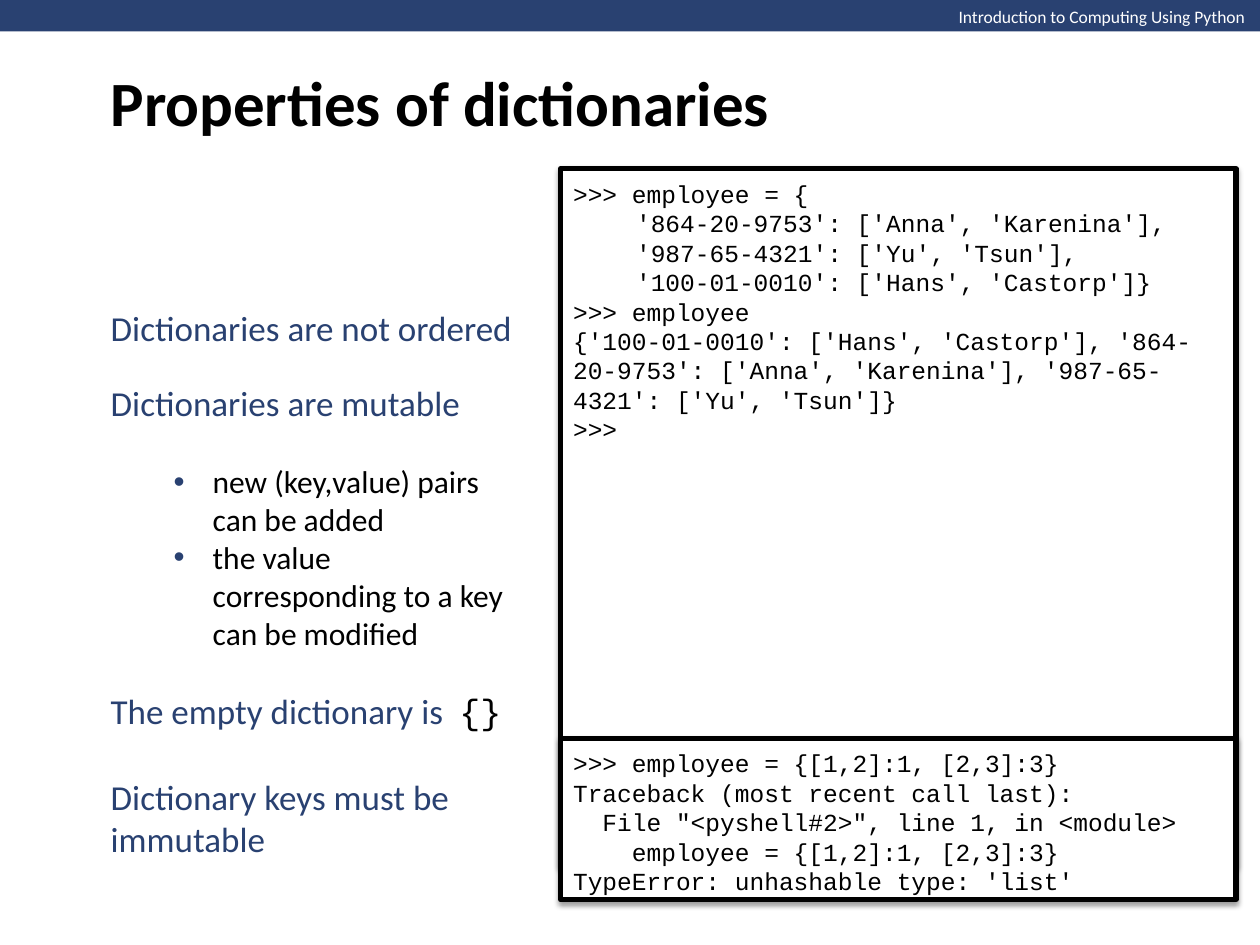
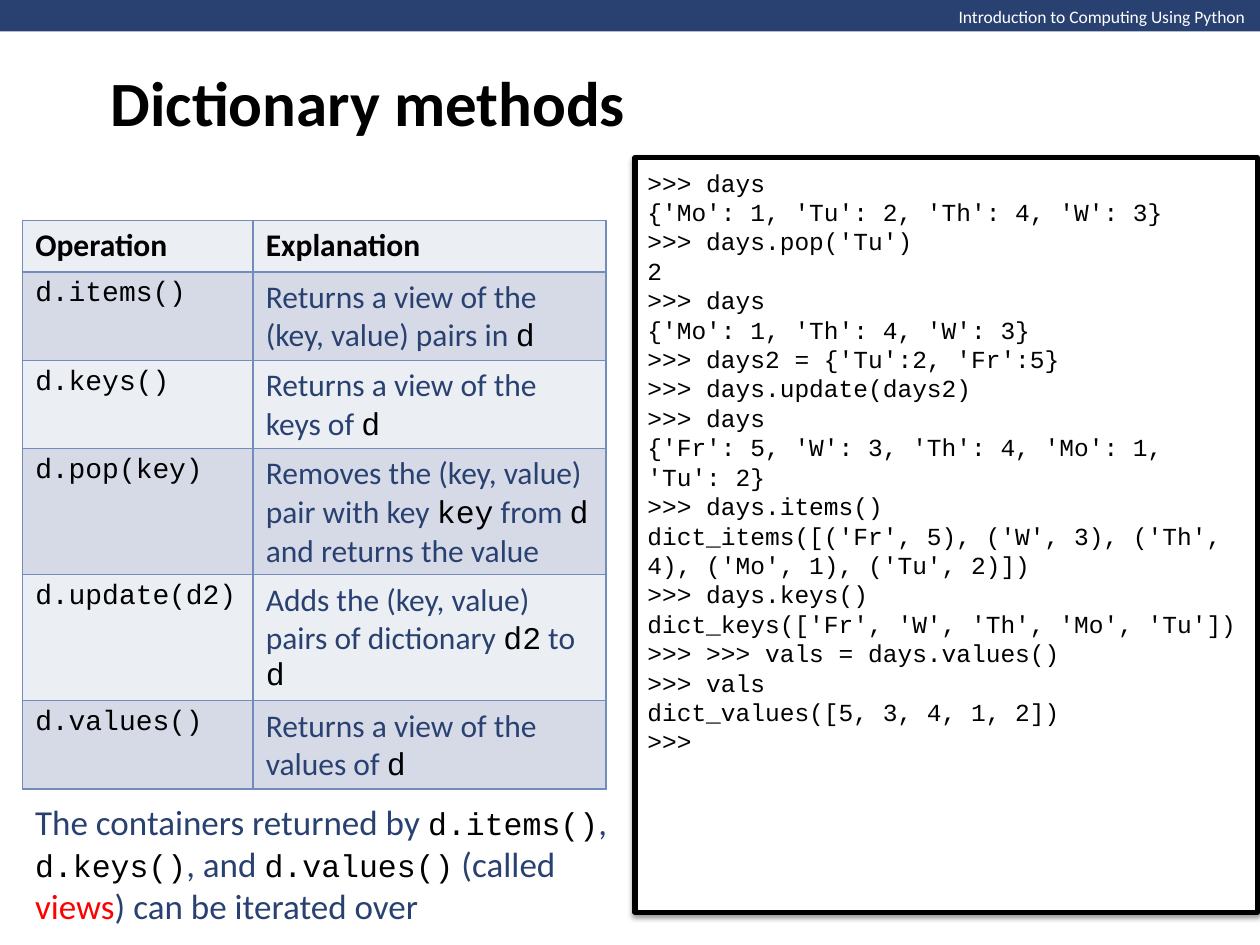
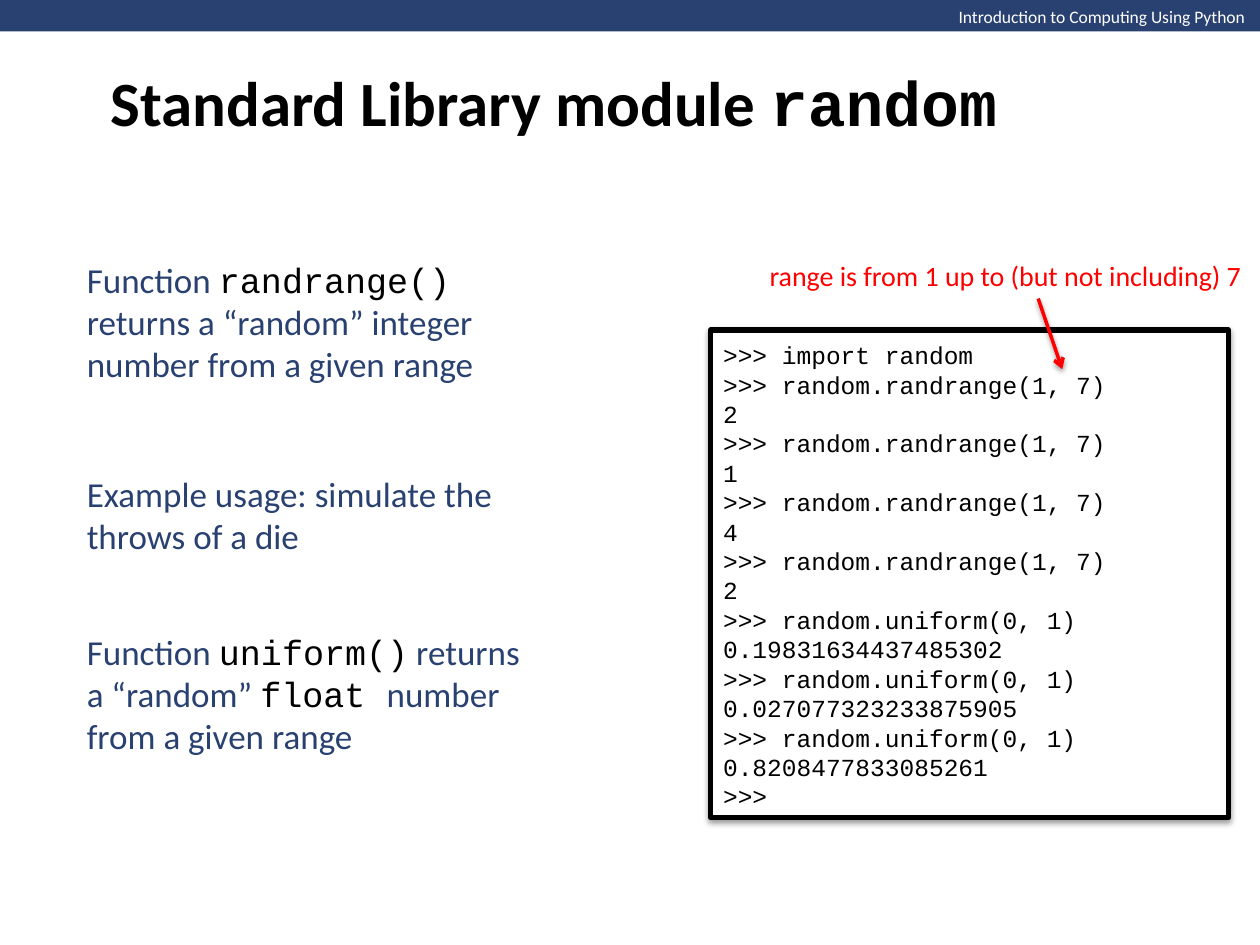
from dataclasses import dataclass

from lxml import etree
from pptx import Presentation
from pptx.dml.color import RGBColor
from pptx.enum.shapes import MSO_CONNECTOR, MSO_SHAPE
from pptx.enum.text import MSO_ANCHOR
from pptx.oxml.ns import qn
from pptx.util import Inches, Pt

RECTANGLE = MSO_SHAPE.RECTANGLE
STRAIGHT = MSO_CONNECTOR.STRAIGHT
TOP, MIDDLE = MSO_ANCHOR.TOP, MSO_ANCHOR.MIDDLE


@dataclass(frozen=True)
class Theme:
    """Colours, fonts and type sizes shared by every slide."""

    navy: str = "294171"
    black: str = "000000"
    white: str = "FFFFFF"
    red: str = "FF0000"
    border: str = "748CBC"
    light_row: str = "EBEEF3"
    dark_row: str = "D6DAE7"
    prose: str = "Calibri"
    mono: str = "Courier New"
    title: int = 36
    body: int = 20
    detail: int = 18
    note: int = 16
    code: int = 14
    header: int = 10


THEME = Theme()
COURSE = "Introduction to Computing Using Python"
TITLE_BOX = (0.78, 0, 8.5, 1.61)

EMPLOYEE_SESSION = """>>> employee = {
\t'864-20-9753': ['Anna', 'Karenina'],
\t'987-65-4321': ['Yu', 'Tsun'],
\t'100-01-0010': ['Hans', 'Castorp']}
>>> employee
{'100-01-0010': ['Hans', 'Castorp'], '864-20-9753': ['Anna', 'Karenina'], '987-65-4321': ['Yu', 'Tsun']}
>>>"""

ERROR_SESSION = """>>> employee = {[1,2]:1, [2,3]:3}
Traceback (most recent call last):
  File "<pyshell#2>", line 1, in <module>
    employee = {[1,2]:1, [2,3]:3}
TypeError: unhashable type: 'list'"""

DAYS_SESSION = """>>> days
{'Mo': 1, 'Tu': 2, 'Th': 4, 'W': 3}
>>> days.pop('Tu')
2
>>> days
{'Mo': 1, 'Th': 4, 'W': 3}
>>> days2 = {'Tu':2, 'Fr':5}
>>> days.update(days2)
>>> days
{'Fr': 5, 'W': 3, 'Th': 4, 'Mo': 1, 'Tu': 2}
>>> days.items()
dict_items([('Fr', 5), ('W', 3), ('Th', 4), ('Mo', 1), ('Tu', 2)])
>>> days.keys()
dict_keys(['Fr', 'W', 'Th', 'Mo', 'Tu'])
>>> >>> vals = days.values()
>>> vals
dict_values([5, 3, 4, 1, 2])
>>>"""

RANDOM_SESSION = """>>> import random
>>> random.randrange(1, 7)
2
>>> random.randrange(1, 7)
1
>>> random.randrange(1, 7)
4
>>> random.randrange(1, 7)
2
>>> random.uniform(0, 1)
0.19831634437485302
>>> random.uniform(0, 1)
0.027077323233875905
>>> random.uniform(0, 1)
0.8208477833085261
>>>"""

METHODS = [
    ("d.items()", "Returns a view of the (key, value) pairs in `d`"),
    ("d.keys()", "Returns a view of the keys of `d`"),
    ("d.pop(key)", "Removes the (key, value) pair with key `key` from `d` and returns the value"),
    ("d.update(d2)", "Adds the (key, value) pairs of dictionary `d2` to `d`"),
    ("d.values()", "Returns a view of the values of `d`"),
]
COLUMN_WIDTHS = (1.83, 2.8)
ROW_HEIGHTS = (0.41, 0.7, 0.7, 1, 1, 0.7)


def rgb(color):
    """Turn a hex string into a colour."""
    return RGBColor.from_string(color)


def inches(box):
    """Turn a tuple of numbers into lengths."""
    return [Inches(value) for value in box]


def add_span(para, text, size=THEME.body, font=THEME.prose, color=THEME.navy, bold=False):
    """Append one formatted run to a paragraph."""
    span = para.add_run()
    span.text = text
    span.font.size = Pt(size)
    span.font.name = font
    span.font.bold = bold
    span.font.color.rgb = rgb(color)


def add_marked(para, text, size=THEME.body, mono_size=None, **style):
    """Append prose in which backticks enclose code."""
    for index, part in enumerate(text.split("`")):
        if index % 2:
            code_style = {**style, "font": THEME.mono, "color": THEME.black}
            add_span(para, part, size=mono_size or size, **code_style)
        elif part:
            add_span(para, part, size=size, **style)


def add_box(page, box, anchor=MIDDLE, wrap=True):
    """Add an empty text box and return its text frame."""
    frame = page.shapes.add_textbox(*inches(box)).text_frame
    frame.word_wrap = wrap
    frame.vertical_anchor = anchor
    return frame


def add_label(page, box, text, anchor=MIDDLE, wrap=True, **style):
    """Add a text box holding one paragraph and return its text frame."""
    frame = add_box(page, box, anchor, wrap)
    add_marked(frame.paragraphs[0], text, **style)
    return frame


def add_panel(page, box, color):
    """Add a plain filled rectangle."""
    panel = page.shapes.add_shape(RECTANGLE, *inches(box))
    panel.shadow.inherit = False
    panel.fill.solid()
    panel.fill.fore_color.rgb = rgb(color)
    panel.line.fill.background()
    return panel


def add_child(parent, tag, **attributes):
    """Append a DrawingML element with the given attributes."""
    child = etree.SubElement(parent, qn(f"a:{tag}"))
    for name, value in attributes.items():
        child.set(name, str(value))
    return child


def cast_shadow(shape):
    """Give a shape or connector a soft shadow straight below it."""
    properties = shape._element.spPr
    effects = properties.find(qn("a:effectLst"))
    if effects is None:
        effects = add_child(properties, "effectLst")
    shadow = add_child(effects, "outerShdw", blurRad=Pt(3.1), dist=Pt(1.6),
                       dir=90 * 60000, rotWithShape=0)
    add_child(add_child(shadow, "srgbClr", val=THEME.black), "alpha", val=38000)


def add_code(page, box, session):
    """Draw a framed interpreter session."""
    panel = add_panel(page, box, THEME.white)
    panel.line.fill.solid()
    panel.line.color.rgb = rgb(THEME.black)
    panel.line.width = Pt(3)
    cast_shadow(panel)
    frame = panel.text_frame
    frame.word_wrap = True
    frame.vertical_anchor = TOP
    frame.margin_top = Inches(0.08)
    frame.margin_bottom = 0
    for index, line in enumerate(session.splitlines()):
        para = frame.add_paragraph() if index else frame.paragraphs[0]
        para.alignment = 1
        add_span(para, line, size=THEME.code, font=THEME.mono, color=THEME.black)


def add_page(deck, title):
    """Add a slide with the course band and a title."""
    page = deck.slides.add_slide(deck.slide_layouts[6])
    add_panel(page, (0, 0, 10.01, 0.25), THEME.navy)
    add_label(page, (7.51, 0, 2.5, 0.27), COURSE, anchor=TOP, wrap=False,
              size=THEME.header, color=THEME.white)
    add_label(page, TITLE_BOX, title, size=THEME.title, color=THEME.black, bold=True)
    return page


def add_bullet(frame, text):
    """Append an indented bullet paragraph."""
    para = frame.add_paragraph()
    para.level = 1
    properties = para._p.get_or_add_pPr()
    properties.set("marL", str(Inches(0.81)))
    properties.set("indent", str(Inches(-0.31)))
    add_child(add_child(properties, "buClr"), "srgbClr", val=THEME.navy)
    add_child(properties, "buFont", typeface="Arial")
    add_child(properties, "buChar", char="•")
    add_span(para, text, size=THEME.detail, color=THEME.black)


def add_borders(cell):
    """Outline a table cell on all four sides."""
    properties = cell._tc.get_or_add_tcPr()
    for index, side in enumerate(("lnL", "lnR", "lnT", "lnB")):
        line = etree.Element(qn(f"a:{side}"), w=str(Pt(1)))
        add_child(add_child(line, "solidFill"), "srgbClr", val=THEME.border)
        properties.insert(index, line)


def add_method_table(page, box):
    """Draw the table of dictionary methods."""
    rows = [("Operation", "Explanation")] + METHODS
    table = page.shapes.add_table(len(rows), len(COLUMN_WIDTHS), *inches(box)).table
    table.first_row = False
    table.horz_banding = False
    for column, width in zip(table.columns, COLUMN_WIDTHS):
        column.width = Inches(width)
    for index, (texts, height) in enumerate(zip(rows, ROW_HEIGHTS)):
        table.rows[index].height = Inches(height)
        for column, text in enumerate(texts):
            cell = table.cell(index, column)
            cell.fill.solid()
            cell.fill.fore_color.rgb = rgb(THEME.dark_row if index % 2 else THEME.light_row)
            add_borders(cell)
            para = cell.text_frame.paragraphs[0]
            if index == 0:
                add_span(para, text, size=THEME.detail, color=THEME.black, bold=True)
            elif column == 0:
                add_span(para, text, size=THEME.note, font=THEME.mono, color=THEME.black)
            else:
                add_marked(para, text, size=THEME.detail)


def add_arrow(page, start, end):
    """Draw a red arrow between two points."""
    arrow = page.shapes.add_connector(STRAIGHT, *inches(start + end))
    arrow.line.color.rgb = rgb(THEME.red)
    arrow.line.width = Pt(2)
    add_child(arrow._element.spPr.find(qn("a:ln")), "tailEnd", type="arrow")
    cast_shadow(arrow)


def build_properties(deck):
    """Build the slide on properties of dictionaries."""
    page = add_page(deck, "Properties of dictionaries")
    left, width = 0.78, 3.42
    add_code(page, (4.45, 1.34, 5.36, 5.52), EMPLOYEE_SESSION)
    add_code(page, (4.45, 5.86, 5.36, 1.28), ERROR_SESSION)
    add_label(page, (left, 2.38, width, 0.44), "Dictionaries are not ordered", wrap=False)
    frame = add_label(page, (left, 2.97, width, 2.26), "Dictionaries are mutable")
    frame.paragraphs[0].space_after = Pt(22)
    add_bullet(frame, "new (key,value) pairs can be added")
    add_bullet(frame, "the value corresponding to a key can be modified")
    add_label(page, (left, 5.42, width, 0.44), "The empty dictionary is  `{}`", wrap=False)
    add_label(page, (left, 6.1, width, 0.77), "Dictionary keys must be immutable")


def build_methods(deck):
    """Build the slide on dictionary methods."""
    page = add_page(deck, "Dictionary methods")
    add_code(page, (5.04, 1.25, 4.94, 5.99), DAYS_SESSION)
    add_method_table(page, (0.18, 1.75, sum(COLUMN_WIDTHS), sum(ROW_HEIGHTS)))
    para = add_box(page, (0.18, 6.3, 4.85, 1.11)).paragraphs[0]
    add_marked(para, "The containers returned by `d.items()`, `d.keys()`, and `d.values()` (called ",
               mono_size=THEME.detail)
    add_span(para, "views", color=THEME.red)
    add_span(para, ") can be iterated over")


def build_random(deck):
    """Build the slide on the random module."""
    page = add_page(deck, "Standard Library module `random`")
    left, width = 0.59, 3.79
    add_code(page, (5.64, 2.62, 4.11, 3.87), RANDOM_SESSION)
    add_label(page, (left, 2, width, 1.11),
              "Function `randrange()` returns a “random” integer number from a given range")
    add_label(page, (left, 3.7, width, 0.77), "Example usage: simulate the throws of a die")
    add_label(page, (left, 4.95, width, 1.11),
              "Function `uniform()` returns a “random” `float `number from a given range")
    add_arrow(page, (8.24, 2.37), (8.43, 2.93))
    add_label(page, (6.01, 2, 4, 0.37), "range is from 1 up to (but not including) 7",
              wrap=False, size=THEME.note, color=THEME.red)


def main():
    """Build and save the deck."""
    deck = Presentation()
    deck.slide_width, deck.slide_height = Inches(10), Inches(7.5)
    build_properties(deck)
    build_methods(deck)
    build_random(deck)
    deck.save("out.pptx")


main()
